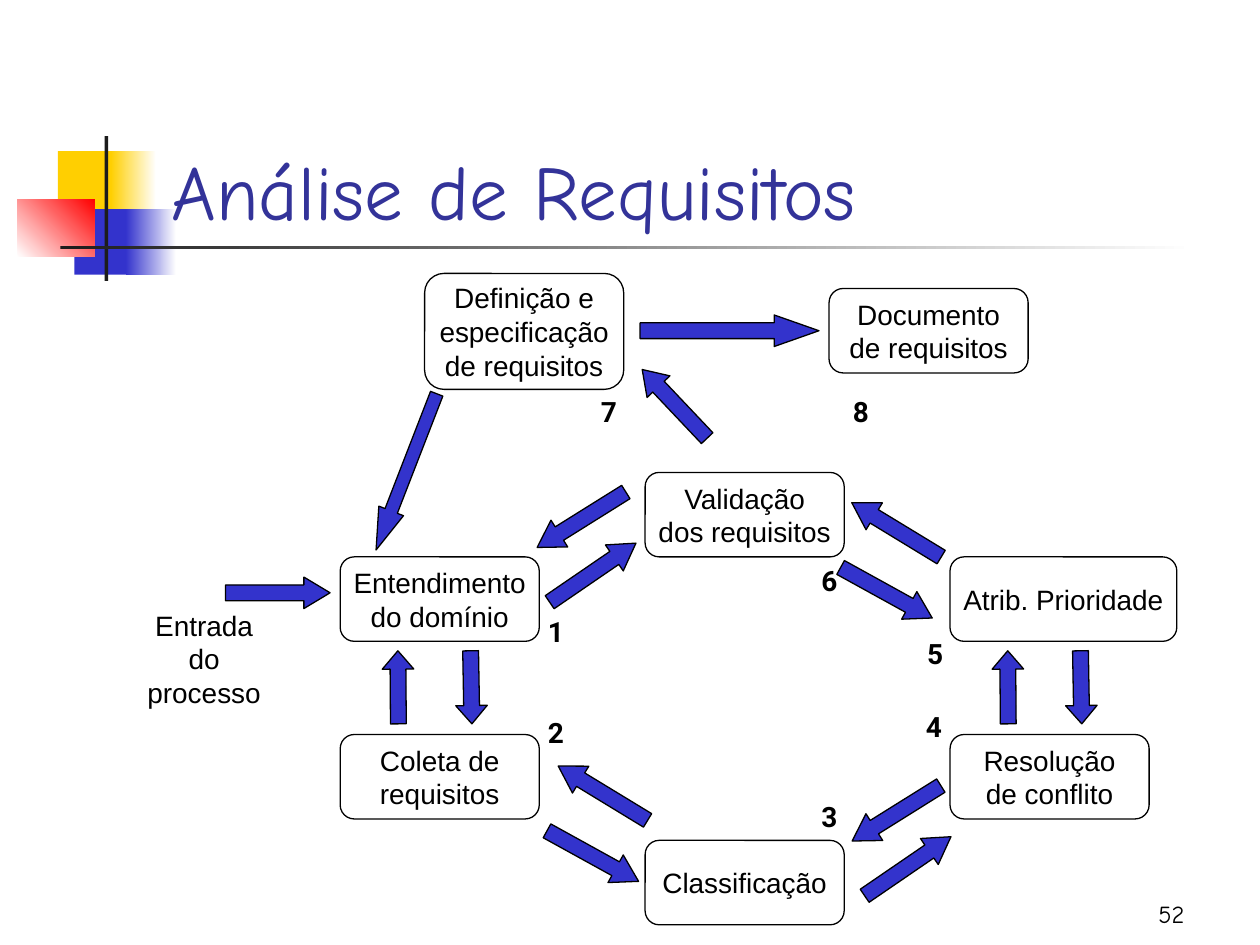
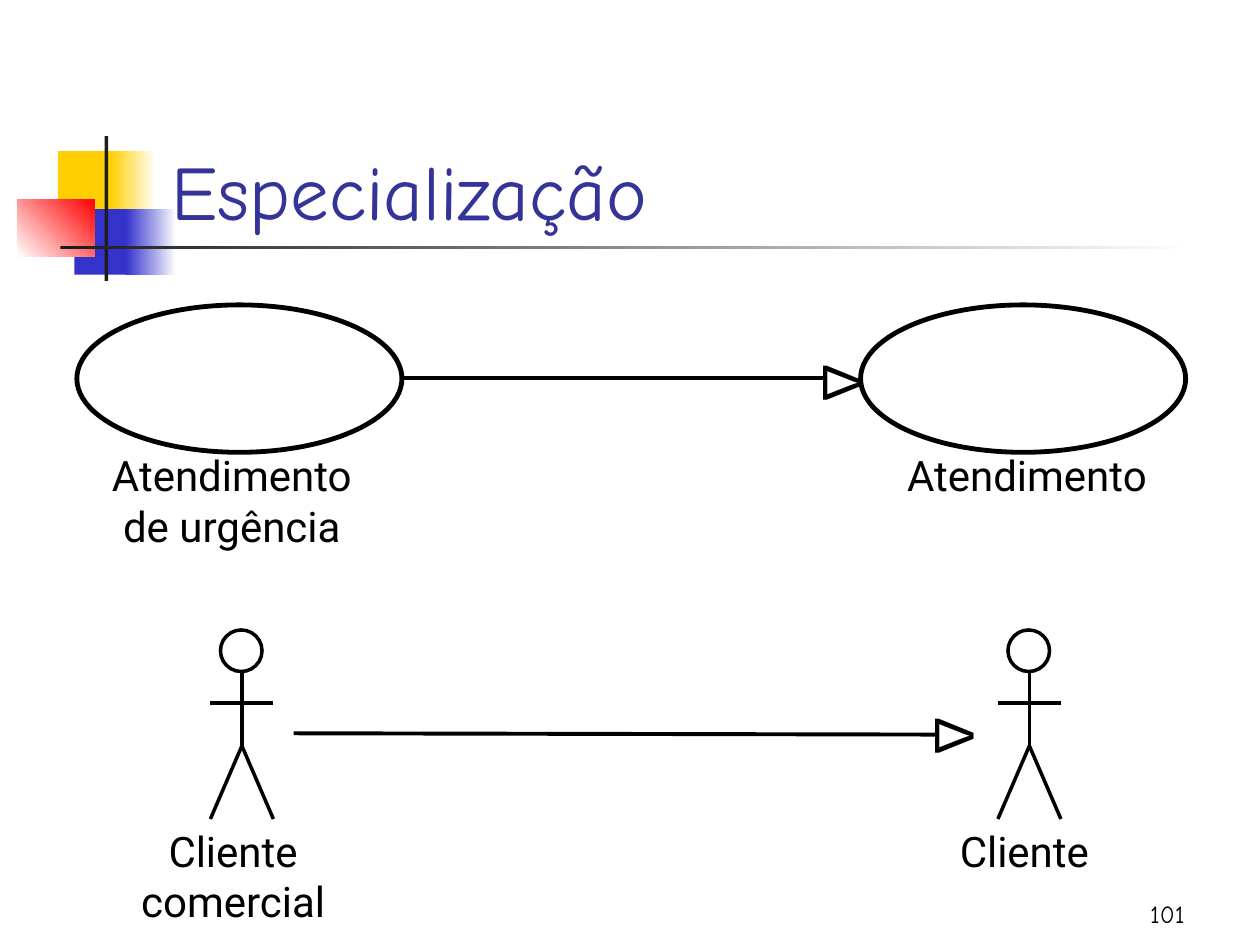
"""Build two slides on requirements analysis and use case specialization."""
from lxml import etree
from pptx import Presentation, util as u
from pptx.dml.color import RGBColor
from pptx.enum import shapes, text
from pptx.oxml import ns

PX = 9144
TITLE_ONLY = 5

BLACK = RGBColor(0x00, 0x00, 0x00)
WHITE = RGBColor(0xFF, 0xFF, 0xFF)
CHARCOAL = RGBColor(0x1C, 0x1C, 0x1C)
YELLOW = RGBColor(0xFF, 0xCF, 0x01)
BLUE = RGBColor(0x33, 0x33, 0xCC)
INDIGO = RGBColor(0x33, 0x33, 0x99)
RED = RGBColor(0xFF, 0x00, 0x00)

TITLE = {"name": "Comic Neue", "size": u.Pt(44), "bold": False}
PAGE_NUMBER = {"name": "Comic Neue", "size": u.Pt(14), "bold": False}
STEP = {"name": "Arial", "size": u.Pt(16), "bold": False}
STEP_NUMBER = {"name": "Roboto", "size": u.Pt(16), "bold": True}
CAPTION = {"name": "Roboto", "size": u.Pt(24), "bold": False}
TRIANGLE = {"name": "Arial", "size": u.Pt(32), "bold": False}

LEFT, CENTER, RIGHT = text.PP_ALIGN.LEFT, text.PP_ALIGN.CENTER, text.PP_ALIGN.RIGHT
FIXED_FRAME = {"word_wrap": True, "auto_size": text.MSO_AUTO_SIZE.NONE,
               "vertical_anchor": text.MSO_ANCHOR.BOTTOM}
STEP_FRAME = {"word_wrap": False, "vertical_anchor": text.MSO_ANCHOR.MIDDLE}
LABEL_FRAME = {"word_wrap": False, "auto_size": text.MSO_AUTO_SIZE.SHAPE_TO_FIT_TEXT,
               "vertical_anchor": text.MSO_ANCHOR.TOP}

SHAPE = shapes.MSO_SHAPE
BANDS = [
    (46, 120, 48, 52, [YELLOW], 0),
    (88, 120, 36, 52, [YELLOW, WHITE], 0),
    (59, 166, 46, 52, [BLUE], 0),
    (100, 166, 40, 52, [BLUE, WHITE], 0),
    (14, 158, 61, 46, [WHITE, RED], 45),
    (83, 108, 3, 115, [CHARCOAL], 0),
    (48, 195, 900, 3, [CHARCOAL, WHITE], 0),
]


def px(*lengths):
    """Turn px lengths into EMU."""
    return [u.Emu(length * PX) for length in lengths]


def dress(target, values):
    """Set each named format value on the target."""
    for name, value in values.items():
        setattr(target, name, value)


class SlideBuilder:
    """Hold the shared style and the current slide."""

    def __init__(self):
        self.deck = Presentation()
        self.deck.slide_width, self.deck.slide_height = px(1000, 750)
        self.page = self.canvas = None

    def start_page(self, title, number):
        """Add a slide with its bands, page number and title."""
        self.page = self.deck.slides.add_slide(self.deck.slide_layouts[TITLE_ONLY])
        self.canvas = self.page.shapes
        for *place, colors, angle in BANDS:
            self.shape(SHAPE.RECTANGLE, place, colors, angle=angle)
        self.label(number, (742, 692, 208, 50), PAGE_NUMBER, RIGHT, FIXED_FRAME)
        box = self.page.shapes.title
        self.canvas.element.append(box.element)
        dress(box, dict(zip(("left", "top", "width", "height"), px(126, 67, 852, 125))))
        self.fill_text(box, title, TITLE, LEFT, FIXED_FRAME, INDIGO)

    def fill_text(self, box, words, font, align, frame, color=BLACK):
        """Put formatted text into a shape, one paragraph per line."""
        dress(box.text_frame, frame)
        box.text_frame.text = words
        for para in box.text_frame.paragraphs:
            para.alignment = align
            for span in para.runs:
                dress(span.font, font)
                span.font.color.rgb = color

    def label(self, words, place, font, align=CENTER, frame=LABEL_FRAME):
        """Add a text box."""
        box = self.canvas.add_textbox(*px(*place))
        self.fill_text(box, words, font, align, frame)
        return box

    def shape(self, kind, place, colors=(), outline=None, angle=0):
        """Add a preset shape with no fill, a plain fill or a gradient."""
        box = self.canvas.add_shape(kind, *px(*place))
        box.shadow.inherit = False
        if len(colors) > 1:
            box.fill.gradient()
            box.fill.gradient_angle = angle
            for stop, color in zip(box.fill.gradient_stops, colors):
                stop.color.rgb = color
        elif colors:
            box.fill.solid()
            box.fill.fore_color.rgb = colors[0]
        else:
            box.fill.background()
        if outline:
            box.line.color.rgb = BLACK
            box.line.width = u.Pt(outline)
        else:
            box.line.fill.background()
        return box

    def step(self, words, left, top, width=158, height=67):
        """Add a rounded process box."""
        box = self.shape(SHAPE.ROUNDED_RECTANGLE, (left, top, width, height), outline=0.75)
        self.fill_text(box, words, STEP, CENTER, STEP_FRAME)

    def arrow(self, left, top, length, rotation=0, height=25):
        """Add a block arrow whose head is a quarter of its length."""
        box = self.shape(SHAPE.RIGHT_ARROW, (left, top, length, height), [BLUE], 0.75)
        box.adjustments[1] = length / height / 4
        box.rotation = rotation

    def line(self, start, end, width):
        """Add a straight line."""
        link = self.canvas.add_connector(shapes.MSO_CONNECTOR.STRAIGHT, *px(*start, *end))
        link.line.color.rgb = BLACK
        link.line.width = u.Pt(width)
        etree.SubElement(link.element.spPr, ns.qn("a:effectLst"))

    def generalization(self, start, end, triangle_left, triangle_top):
        """Add a line that ends in a hollow triangle."""
        self.line(start, end, 2.25)
        box = self.label("Δ", (triangle_left, triangle_top, 47, 64), TRIANGLE, LEFT)
        box.rotation = 90

    def actor(self, center):
        """Add a grouped stick figure."""
        self.canvas = self.page.shapes.add_group_shape().shapes
        self.shape(SHAPE.OVAL, (center - 17, 500, 33, 33), outline=2)
        hip = (center, 592)
        for start, end in [
            (hip, (center, 533)),
            ((center - 25, 650), hip),
            ((center + 25, 650), hip),
            ((center - 25, 558), (center + 25, 558)),
        ]:
            self.line(start, end, 2)
        self.canvas = self.page.shapes


def build_analysis(builder):
    """Draw the requirements analysis cycle."""
    builder.start_page("Análise de Requisitos", "52")
    for step in [
        ("Entendimento\ndo domínio", 270, 442),
        ("Coleta de\nrequisitos", 270, 583),
        ("Classificação", 512, 667),
        ("Definição e\nespecificação\nde requisitos", 337, 217, 158, 92),
        ("Resolução\nde conflito", 754, 583),
        ("Atrib. Prioridade", 754, 442, 180),
        ("Validação\ndos requisitos", 512, 375),
        ("Documento\nde requisitos", 658, 229),
    ]:
        builder.step(*step)

    for left in (287, 771):
        builder.arrow(left + 58, 533, 58, 89)
        builder.arrow(left, 533, 58, 269.6)
    for left, top in [(429, 667), (662, 458)]:
        builder.arrow(left, top, 83, 28.9)
        builder.arrow(left + 8, top - 50, 83, 211.3)
    for left, top in [(429, 442), (679, 675)]:
        builder.arrow(left, top, 83, 325.6)
        builder.arrow(left - 9, top - 42, 83, 148)
    builder.arrow(179, 458, 83)
    builder.arrow(508, 250, 142)
    builder.arrow(498, 308, 75, 226.6)
    builder.arrow(256, 364, 133, 111.2, 21)

    builder.label("Entrada do\nprocesso", (98, 478, 128, 64), STEP)
    number_places = [(425, 483), (425, 563), (642, 630), (725, 558),
                     (726, 500), (642, 442), (467, 308), (667, 308)]
    for number, place in enumerate(number_places, 1):
        builder.label(str(number), (*place, 32, 37), STEP_NUMBER, LEFT)


def build_specialization(builder):
    """Draw the specialization of a use case and of an actor."""
    builder.start_page("Especialização", "101")
    for left in (61, 683):
        builder.shape(SHAPE.OVAL, (left, 242, 258, 117), outline=2.75)
    for center in (192, 817):
        builder.actor(center)
    builder.generalization((319, 300), (653, 300), 647, 271)
    builder.generalization((233, 582), (742, 583), 736, 551)
    for words, *place in [
        ("Atendimento\nde urgência", 72, 352, 224, 90),
        ("Atendimento", 703, 352, 224, 50),
        ("Cliente\ncomercial", 99, 650, 172, 90),
        ("Cliente", 749, 650, 128, 50),
    ]:
        builder.label(words, place, CAPTION)


def main():
    """Build and save the deck."""
    builder = SlideBuilder()
    build_analysis(builder)
    build_specialization(builder)
    builder.deck.save("out.pptx")


if __name__ == "__main__":
    main()
